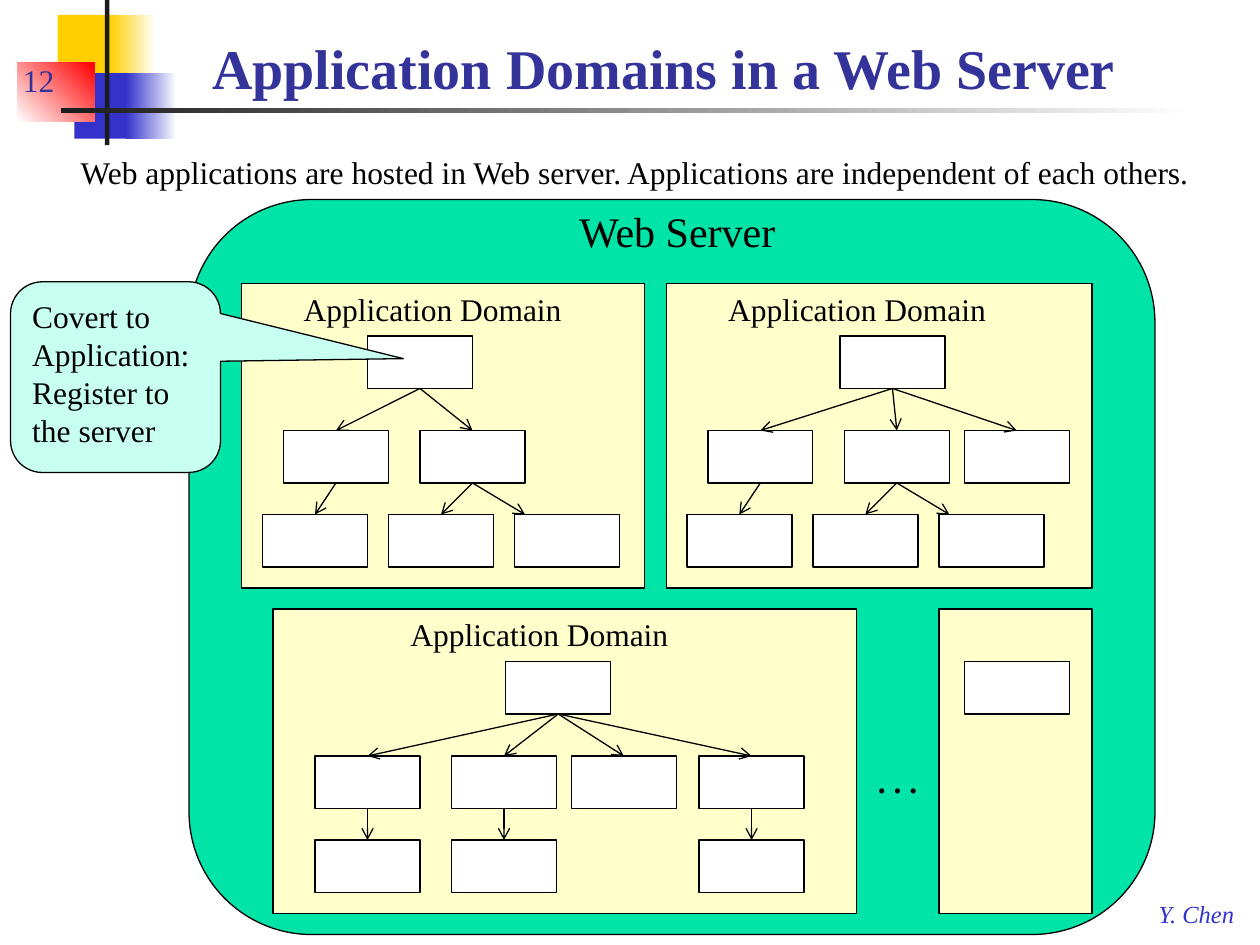
"""Builds the slide on application domains in a web server."""
from dataclasses import dataclass

from lxml import etree
from pptx import Presentation
from pptx import util as u
from pptx.dml.color import RGBColor
from pptx.enum import shapes, text
from pptx.oxml.ns import qn


@dataclass(frozen=True)
class Theme:
    font: str = "Times New Roman"
    heading: str = "333399"
    blue: str = "3333CC"
    yellow: str = "FFCF01"
    red: str = "FF0000"
    dark: str = "1C1C1C"
    ink: str = "000000"
    white: str = "FFFFFF"
    server: str = "00E4A8"
    domain: str = "FFFFCC"
    callout: str = "C7FFF0"
    title_size: int = 32
    server_size: int = 24
    body_size: int = 18
    footer_size: int = 14
    outline: float = 0.75


class SlideBuilder:
    """Holds the theme and the current slide."""

    def __init__(self, slide, theme):
        self.slide = slide
        self.theme = theme

    def set_words(self, frame, words, size=None, color=None, bold=False, italic=False):
        frame.text = words
        for paragraph in frame.paragraphs:
            paragraph.alignment = text.PP_ALIGN.LEFT
            for run in paragraph.runs:
                run.font.name = self.theme.font
                run.font.size = u.Pt(size or self.theme.body_size)
                run.font.color.rgb = RGBColor.from_string(color or self.theme.ink)
                run.font.bold = bold
                run.font.italic = italic

    def title(self, words, left, top, width, height):
        heading = self.slide.shapes.title
        heading.left, heading.top = u.Pt(left), u.Pt(top)
        heading.width, heading.height = u.Pt(width), u.Pt(height)
        self.set_words(heading.text_frame, words, self.theme.title_size, self.theme.heading, bold=True)
        heading.text_frame.vertical_anchor = text.MSO_ANCHOR.BOTTOM

    def label(self, words, left, top, width, height, **style):
        box = self.slide.shapes.add_textbox(u.Pt(left), u.Pt(top), u.Pt(width), u.Pt(height))
        frame = box.text_frame
        self.set_words(frame, words, **style)
        frame.word_wrap = False
        frame.auto_size = text.MSO_AUTO_SIZE.SHAPE_TO_FIT_TEXT

    def number(self, words, left, top, width, height):
        box = self.slide.shapes.add_textbox(u.Pt(left), u.Pt(top), u.Pt(width), u.Pt(height))
        self.set_words(box.text_frame, words, color=self.theme.heading)
        box.text_frame.word_wrap = True
        box.text_frame.vertical_anchor = text.MSO_ANCHOR.BOTTOM

    def block(self, kind, left, top, width, height, fill, outlined=True):
        block = self.slide.shapes.add_shape(kind, u.Pt(left), u.Pt(top), u.Pt(width), u.Pt(height))
        block.shadow.inherit = False
        block.fill.solid()
        block.fill.fore_color.rgb = RGBColor.from_string(fill)
        if outlined:
            block.line.color.rgb = RGBColor.from_string(self.theme.ink)
            block.line.width = u.Pt(self.theme.outline)
        else:
            block.line.fill.background()
        return block

    def rectangle(self, left, top, width, height, fill, outlined=True):
        return self.block(shapes.MSO_SHAPE.RECTANGLE, left, top, width, height, fill, outlined)

    def fade(self, left, top, width, height, start, end, angle=0):
        band = self.rectangle(left, top, width, height, start, outlined=False)
        band.fill.gradient()
        band.fill.gradient_angle = angle
        for stop, color in zip(band.fill.gradient_stops, (start, end)):
            stop.color.rgb = RGBColor.from_string(color)

    def arrow(self, parent, child, loose=False):
        arrow = self.slide.shapes.add_connector(
            shapes.MSO_CONNECTOR.STRAIGHT, 0, 0, child.left + u.Pt(6), child.top)
        arrow.begin_connect(parent, 2)
        if not loose:
            arrow.end_connect(child, 0)
        arrow.line.color.rgb = RGBColor.from_string(self.theme.ink)
        arrow.line.width = u.Pt(self.theme.outline)
        properties = arrow._element.spPr
        etree.SubElement(properties.find(qn("a:ln")), qn("a:tailEnd"), type="arrow")
        etree.SubElement(properties, qn("a:effectLst"))

    def domain(self, left, top, width, rows, links=(), loose=(), label_left=None):
        self.rectangle(left, top, width, 174, self.theme.domain)
        nodes = [self.rectangle(x, top + drop, 60, 30, self.theme.white)
                 for drop, row in zip((30, 84, 132), rows) for x in row]
        for parent, child in links:
            self.arrow(nodes[parent], nodes[child])
        for parent, child in loose:
            self.arrow(nodes[parent], nodes[child], loose=True)
        if label_left is not None:
            self.label("Application Domain", label_left, top, 163.5, 29)

    def callout(self, words, left, top, width, height, adjustments):
        callout = self.block(shapes.MSO_SHAPE.ROUNDED_RECTANGULAR_CALLOUT,
                             left, top, width, height, self.theme.callout)
        for index, value in enumerate(adjustments):
            callout.adjustments[index] = value
        self.set_words(callout.text_frame, words)
        callout.text_frame.word_wrap = True
        callout.text_frame.vertical_anchor = text.MSO_ANCHOR.TOP


def main():
    deck = Presentation()
    deck.slide_width, deck.slide_height = u.Pt(720), u.Pt(540)
    theme = Theme()
    page = SlideBuilder(deck.slides.add_slide(deck.slide_layouts[5]), theme)

    page.rectangle(33, 8.5, 34.5, 37.5, theme.yellow, outlined=False)
    page.fade(63, 8.5, 26, 37.5, theme.yellow, theme.white)
    page.rectangle(42.5, 41.75, 33, 37.5, theme.blue, outlined=False)
    page.fade(72, 41.75, 29, 37.5, theme.blue, theme.white)
    page.fade(10, 36, 44, 33.5, theme.white, theme.red, angle=45)
    page.rectangle(60, 0, 2.5, 83, theme.dark, outlined=False)
    page.fade(35, 62, 648, 2.5, theme.dark, theme.white)
    page.label("Y. Chen", 655, 510, 59, 24, size=theme.footer_size, color=theme.blue, italic=True)
    page.title("Application Domains in a Web Server", 114, 12, 600, 49)
    page.number("12", 6, 24, 54, 36)

    server = page.block(shapes.MSO_SHAPE.ROUNDED_RECTANGLE, 108, 114, 552, 420, theme.server)
    server.adjustments[0] = 0.167
    page.label("Web Server", 324, 114, 127.5, 36.5, size=theme.server_size)

    upper, lower = 162, 348
    page.domain(138, upper, 230.5, [(210,), (162, 240), (150, 222, 294)],
                [(0, 1), (0, 2), (1, 3), (2, 4)], [(2, 5)], label_left=166.5)
    page.domain(381, upper, 243, [(480,), (404.5, 482.5, 551), (392.5, 464.5, 536.5)],
                [(0, 1), (0, 2), (0, 3), (1, 4), (2, 5)], [(2, 6)], label_left=409)
    page.domain(156, lower, 333.5, [(289,), (180, 258, 326.5, 399.5), (180, 258, 399.5)],
                [(0, 1), (0, 2), (0, 3), (0, 4), (1, 5), (2, 6), (4, 7)], label_left=227.5)
    page.domain(536.5, lower, 87.5, [(551,)])
    page.label(". . .", 494.5, 432, 37.5, 29, bold=True)

    page.label("Web applications are hosted in Web server. Applications are independent of each others.",
               39, 84, 650, 29)
    page.callout("Covert to Application: Register to the server",
                 6, 161, 120, 109, (1.371, -0.097, 0.167))
    deck.save("out.pptx")


if __name__ == "__main__":
    main()
